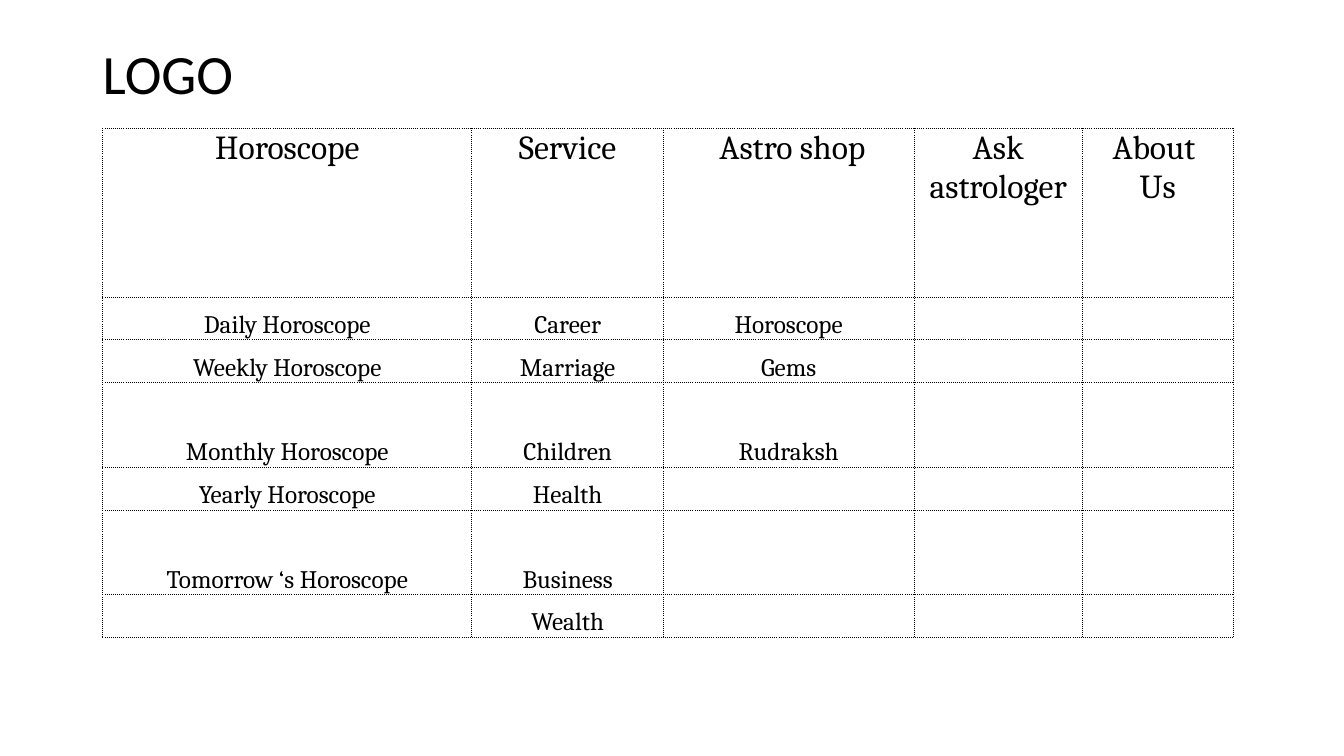
from lxml.etree import SubElement
from pptx import Presentation
from pptx.dml.color import RGBColor
from pptx.enum.text import MSO_ANCHOR, PP_ALIGN
from pptx.oxml.ns import qn
from pptx.util import Cm, Pt

INK = "000000"
COLUMN_WIDTHS = [9.3, 4.83, 6.31, 4.25, 3.79]
ROW_HEIGHTS = [4.24, 1.08, 1.08, 2.13, 1.08, 2.13, 1.08]
MENU = {
    "Horoscope": ["Daily Horoscope", "Weekly Horoscope", "Monthly Horoscope",
                  "Yearly Horoscope", "Tomorrow \u2018s Horoscope"],
    "Service": ["Career", "Marriage", "Children", "Health", "Business", "Wealth"],
    " Astro shop": ["Horoscope", "Gems", "Rudraksh"],
    "Ask astrologer": [],
    "About \nUs": [],
}
HEADING = {"size": Pt(24), "name": "Cambria"}
ENTRY = {"size": Pt(18), "name": "Cambria"}
SITE_NAME = {"size": Pt(39.6), "name": "Calibri"}
CELL_MARGINS = {"margin_left": Cm(0.02), "margin_right": Cm(0.02),
                "margin_top": Cm(0.02), "margin_bottom": 0}


def color(hex_string):
    return RGBColor.from_string(hex_string)


def set_all(target, values):
    for attribute, value in values.items():
        setattr(target, attribute, value)


def write(frame, text, font, **paragraph_format):
    frame.text = text
    for paragraph in frame.paragraphs:
        set_all(paragraph, paragraph_format)
        set_all(paragraph.font, font)
        for run in paragraph.runs:
            set_all(run.font, font)
            run.font.color.rgb = color(INK)


def dot_borders(cell):
    properties = cell._tc.get_or_add_tcPr()
    for side in ("a:lnL", "a:lnR", "a:lnT", "a:lnB"):
        line = SubElement(properties, qn(side), w=str(Pt(0.5)))
        fill = SubElement(line, qn("a:solidFill"))
        SubElement(fill, qn("a:srgbClr"), val=INK)
        SubElement(line, qn("a:prstDash"), val="dot")


def add_site_name(slide, left, top, width, height):
    frame = slide.shapes.add_textbox(left, top, width, height).text_frame
    set_all(frame, {"word_wrap": True, "vertical_anchor": MSO_ANCHOR.MIDDLE})
    write(frame, "LOGO", SITE_NAME, line_spacing=0.9)


def add_menu(slide, left, top, width, height):
    menu = slide.shapes.add_table(
        len(ROW_HEIGHTS), len(MENU), left, top, width, height).table
    set_all(menu, {"first_row": False, "horz_banding": False})
    for row, row_height in zip(menu.rows, ROW_HEIGHTS):
        row.height = Cm(row_height)
    for column, column_width in zip(menu.columns, COLUMN_WIDTHS):
        column.width = Cm(column_width)

    # Each column holds a heading and its entries, padded with empty cells
    for c, (heading, entries) in enumerate(MENU.items()):
        texts = [heading, *entries]
        texts += [""] * (len(ROW_HEIGHTS) - len(texts))
        for r, text in enumerate(texts):
            cell = menu.cell(r, c)
            set_all(cell, CELL_MARGINS)
            cell.vertical_anchor = MSO_ANCHOR.BOTTOM if r else MSO_ANCHOR.TOP
            write(cell.text_frame, text, ENTRY if r else HEADING,
                  alignment=PP_ALIGN.CENTER)
            dot_borders(cell)
            cell.fill.background()


prs = Presentation()
set_all(prs, {"slide_width": Cm(33.87), "slide_height": Cm(19.05)})
site_map = prs.slides.add_slide(prs.slide_layouts[6])

# Site name above the menu
add_site_name(site_map, Cm(2.34), Cm(1.02), Cm(4.8), Cm(1.8))
# Menu headings with their entries
add_menu(site_map, Cm(2.59), Cm(3.24), Cm(sum(COLUMN_WIDTHS)), Cm(sum(ROW_HEIGHTS)))

prs.save("out.pptx")
